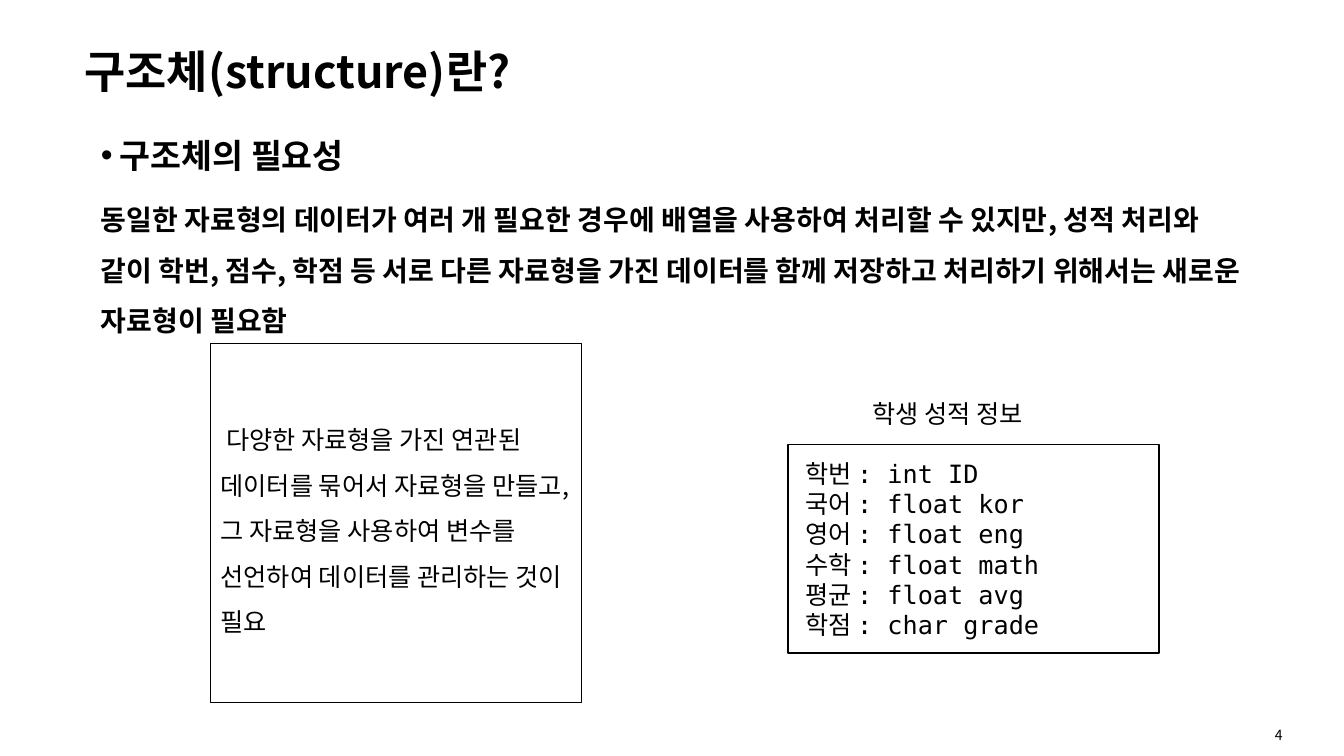
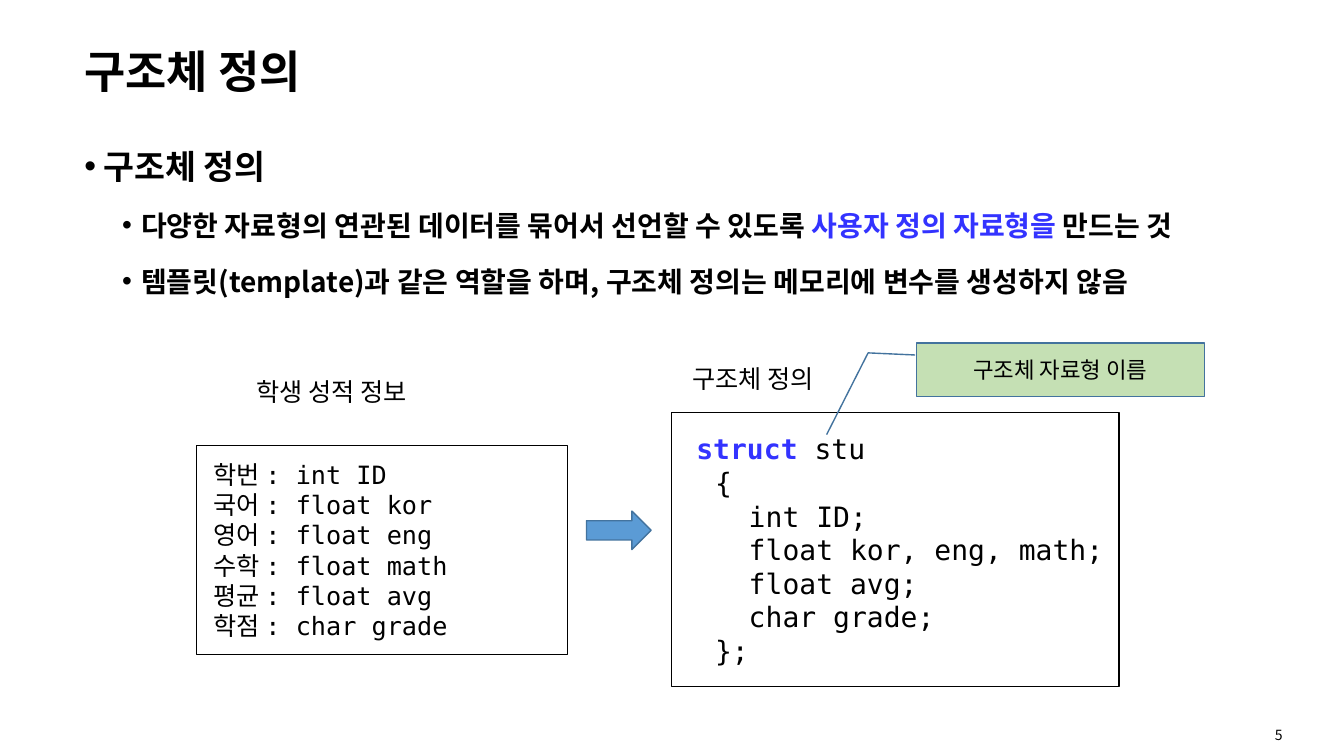
"""Build two Korean lecture slides on C structures."""
from lxml.etree import SubElement
from pptx import Presentation
from pptx.dml.color import RGBColor
from pptx.enum.shapes import MSO_SHAPE as Preset
from pptx.enum.text import MSO_ANCHOR as Anchor, PP_ALIGN as Align
from pptx.oxml.ns import qn
from pptx.util import Cm, Pt

BLACK = RGBColor(0x00, 0x00, 0x00)
KEYWORD_BLUE = RGBColor(0x33, 0x33, 0xFF)
ARROW_BLUE = RGBColor(0x5B, 0x9B, 0xD5)
EDGE_BLUE = RGBColor(0x43, 0x73, 0x9E)
CALLOUT_GREEN = RGBColor(0xC5, 0xE0, 0xB4)

HEADING_FACE = "Noto Sans CJK TC"
LABEL_FACE = "Noto Sans CJK KR"
CODE_FACE = "DejaVu Sans Mono"

TITLE_AREA = (1.88, 0.97, 21.89, 1.8)
NUMBER_AREA = (30.94, 18.19, 2.57, 0.64)
CARD_WIDTH, RECORD_HEIGHT = 9.35, 5.26
LABEL_WIDTH, LABEL_HEIGHT = 4.83, 1.02
CODE_INDENT = 0.85
HANGING = 0.48

RECORD_LABEL = "학생 성적 정보"
RECORD_FIELDS = [
    ("학번", "int ID"),
    ("국어", "float kor"),
    ("영어", "float eng"),
    ("수학", "float math"),
    ("평균", "float avg"),
    ("학점", "char grade"),
]

NEED_TITLE = "구조체(structure)란?"
NEED_BODY = [
    (0, "구조체의 필요성"),
    (None, "동일한 자료형의 데이터가 여러 개 필요한 경우에 배열을 사용하여 처리할 수 있지만, "
           "성적 처리와 같이 학번, 점수, 학점 등 서로 다른 자료형을 가진 데이터를 함께 저장하고 "
           "처리하기 위해서는 새로운 자료형이 필요함"),
]
NEED_SUMMARY = (
    "다양한 자료형을 가진 연관된 데이터를 묶어서 자료형을 만들고, "
    "그 자료형을 사용하여 변수를 선언하여 데이터를 관리하는 것이 필요"
)

DEFINITION_TITLE = "구조체 정의"
DEFINITION_BODY = [
    (0, "구조체 정의"),
    (1, [("다양한 자료형의 연관된 데이터를 묶어서 선언할 수 있도록 ", False),
         ("사용자 정의 자료형을 ", True),
         ("만드는 것", False)]),
    (1, "템플릿(template)과 같은 역할을 하며, 구조체 정의는 메모리에 변수를 생성하지 않음"),
]
STRUCT_CODE = [
    (0.38, [("struct ", True), ("stu", False)]),
    (CODE_INDENT, "{"),
    (2 * CODE_INDENT, "int ID;"),
    (2 * CODE_INDENT, "float kor, eng, math;"),
    (2 * CODE_INDENT, "float avg;"),
    (2 * CODE_INDENT, "char grade;"),
    (CODE_INDENT, "};"),
]
CALLOUT_TEXT = "구조체 자료형 이름"
CALLOUT_BENDS = (0.227, -0.004, 0.188, -0.167, 1.713, -0.311)


def lengths(area):
    return [Cm(value) for value in area]


def indent(paragraph, left, first=0):
    properties = paragraph._p.get_or_add_pPr()
    properties.set("marL", str(Cm(left)))
    properties.set("indent", str(Cm(first)))
    return properties


def add_bullet(paragraph, level):
    paragraph.level = level
    properties = indent(paragraph, HANGING + level * 0.95, -HANGING)
    bullet_font = properties.makeelement(qn("a:buFont"), {"typeface": "Arial"})
    bullet = properties.makeelement(qn("a:buChar"), {"char": "•"})
    properties.find(qn("a:defRPr")).addprevious(bullet_font)
    bullet_font.addnext(bullet)


def write(paragraph, content, size, face, bold=False, align=Align.LEFT):
    font = paragraph.font
    font.size, font.name, font.bold = Pt(size), face, bold
    font.color.rgb = BLACK
    asian_face = LABEL_FACE if face == CODE_FACE else face
    SubElement(font._element, qn("a:ea"), typeface=asian_face)
    paragraph.alignment = align
    pieces = [(content, False)] if isinstance(content, str) else content
    for text, emphasised in pieces:
        run = paragraph.add_run()
        run.text = text
        if emphasised:
            run.font.color.rgb = KEYWORD_BLUE
            run.font.bold = True


def paragraphs(frame, count):
    return [frame.paragraphs[0]] + [frame.add_paragraph() for _ in range(count - 1)]


def add_text(slide, area, anchor=Anchor.TOP, wrap=True):
    frame = slide.shapes.add_textbox(*lengths(area)).text_frame
    frame.word_wrap, frame.vertical_anchor = wrap, anchor
    return frame


def add_panel(slide, preset, area, fill=None, edge=BLACK):
    panel = slide.shapes.add_shape(preset, *lengths(area))
    panel.shadow.inherit = False
    if fill is None:
        panel.fill.background()
    else:
        panel.fill.solid()
        panel.fill.fore_color.rgb = fill
    panel.line.color.rgb = edge
    panel.line.width = Pt(1)
    panel.text_frame.vertical_anchor = Anchor.MIDDLE
    return panel


def add_label(slide, left, top, text, width=LABEL_WIDTH):
    frame = add_text(slide, (left, top, width, LABEL_HEIGHT), wrap=False)
    write(frame.paragraphs[0], text, 18, LABEL_FACE)


def add_code(slide, area, lines, size):
    frame = add_panel(slide, Preset.RECTANGLE, area).text_frame
    for paragraph, (left, content) in zip(paragraphs(frame, len(lines)), lines):
        write(paragraph, content, size, CODE_FACE)
        indent(paragraph, left)


def add_record(slide, left, top):
    lines = [(0.18, f"{name} : {declaration}") for name, declaration in RECORD_FIELDS]
    add_code(slide, (left, top, CARD_WIDTH, RECORD_HEIGHT), lines, 18)


def add_body(slide, area, items):
    frame = add_text(slide, area)
    for paragraph, (level, content) in zip(paragraphs(frame, len(items)), items):
        write(paragraph, content, 24 if level == 0 else 20, HEADING_FACE, bold=True)
        paragraph.line_spacing = 1.5
        paragraph.space_before = Pt(3.8 if level == 1 else 7.5)
        if level is not None:
            add_bullet(paragraph, level)


def add_page(deck, title, number):
    slide = deck.slides.add_slide(deck.slide_layouts[6])
    heading = add_text(slide, TITLE_AREA, Anchor.MIDDLE).paragraphs[0]
    write(heading, title, 32, HEADING_FACE, bold=True)
    heading.line_spacing = 0.9
    footer = add_text(slide, NUMBER_AREA, Anchor.MIDDLE).paragraphs[0]
    write(footer, str(number), 10, LABEL_FACE, align=Align.CENTER)
    return slide


def build_need(deck):
    slide = add_page(deck, NEED_TITLE, 4)
    add_body(slide, (2.29, 2.77, 29.49, 6.63), NEED_BODY)
    add_record(slide, 19.86, 11.2)
    add_label(slide, 21.74, 9.91, RECORD_LABEL)
    summary_area = (5.31, 8.66, CARD_WIDTH, 9.04)
    summary = add_panel(slide, Preset.RECTANGLE, summary_area).text_frame.paragraphs[0]
    write(summary, NEED_SUMMARY, 18, LABEL_FACE)
    summary.line_spacing = 1.5
    indent(summary, 0, 0.14)


def build_definition(deck):
    slide = add_page(deck, DEFINITION_TITLE, 5)
    add_body(slide, (1.88, 3.05, 30.12, 4.72), DEFINITION_BODY)
    add_record(slide, 4.95, 11.23)
    add_label(slide, 6.22, 9.37, RECORD_LABEL)
    add_code(slide, (16.92, 10.39, 11.28, 6.91), STRUCT_CODE, 20)
    add_label(slide, 17.2, 9.02, DEFINITION_TITLE, width=3.94)
    add_panel(slide, Preset.RIGHT_ARROW, (14.78, 12.88, 1.63, 0.97), ARROW_BLUE, EDGE_BLUE)
    callout = add_panel(slide, Preset.LINE_CALLOUT_2, (23.09, 8.64, 7.26, 1.35),
                        CALLOUT_GREEN, EDGE_BLUE)
    for index, bend in enumerate(CALLOUT_BENDS):
        callout.adjustments[index] = bend
    write(callout.text_frame.paragraphs[0], CALLOUT_TEXT, 16, LABEL_FACE, align=Align.CENTER)


def main():
    deck = Presentation()
    deck.slide_width, deck.slide_height = Cm(33.87), Cm(19.05)
    build_need(deck)
    build_definition(deck)
    deck.save("out.pptx")


if __name__ == "__main__":
    main()
